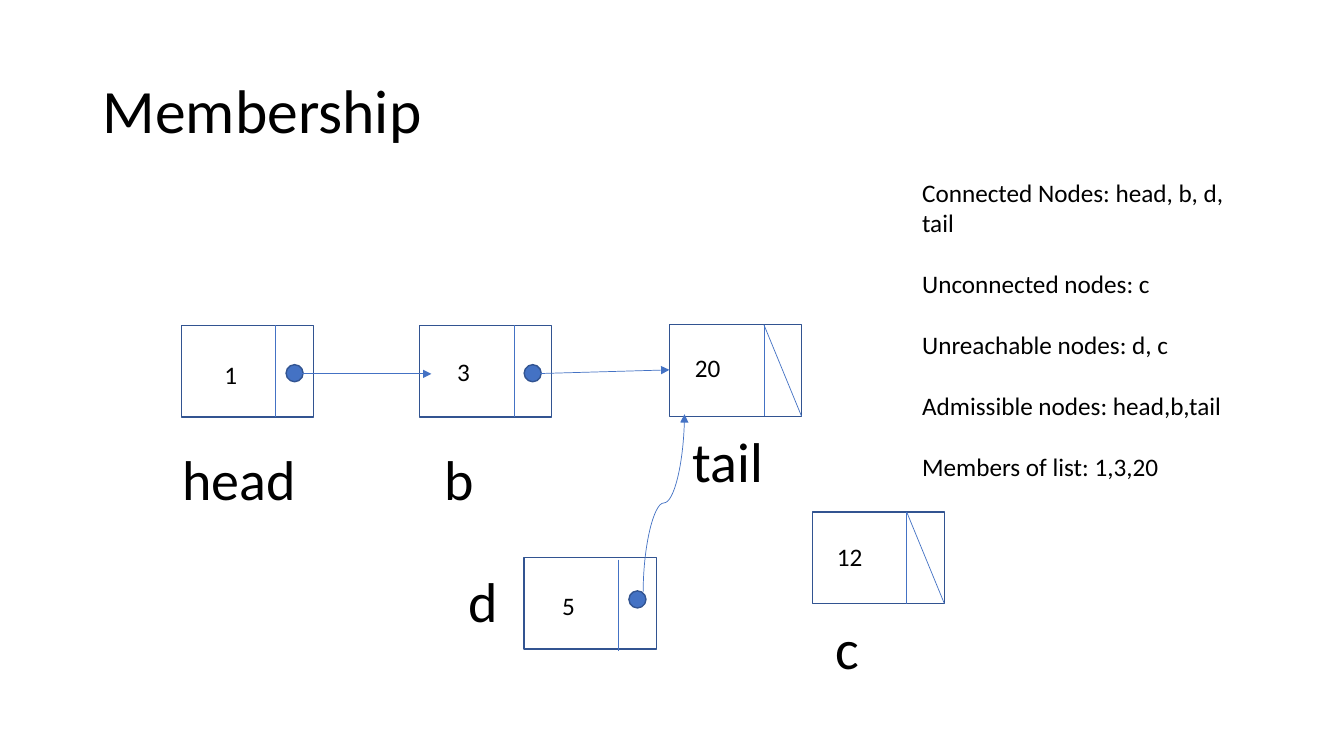
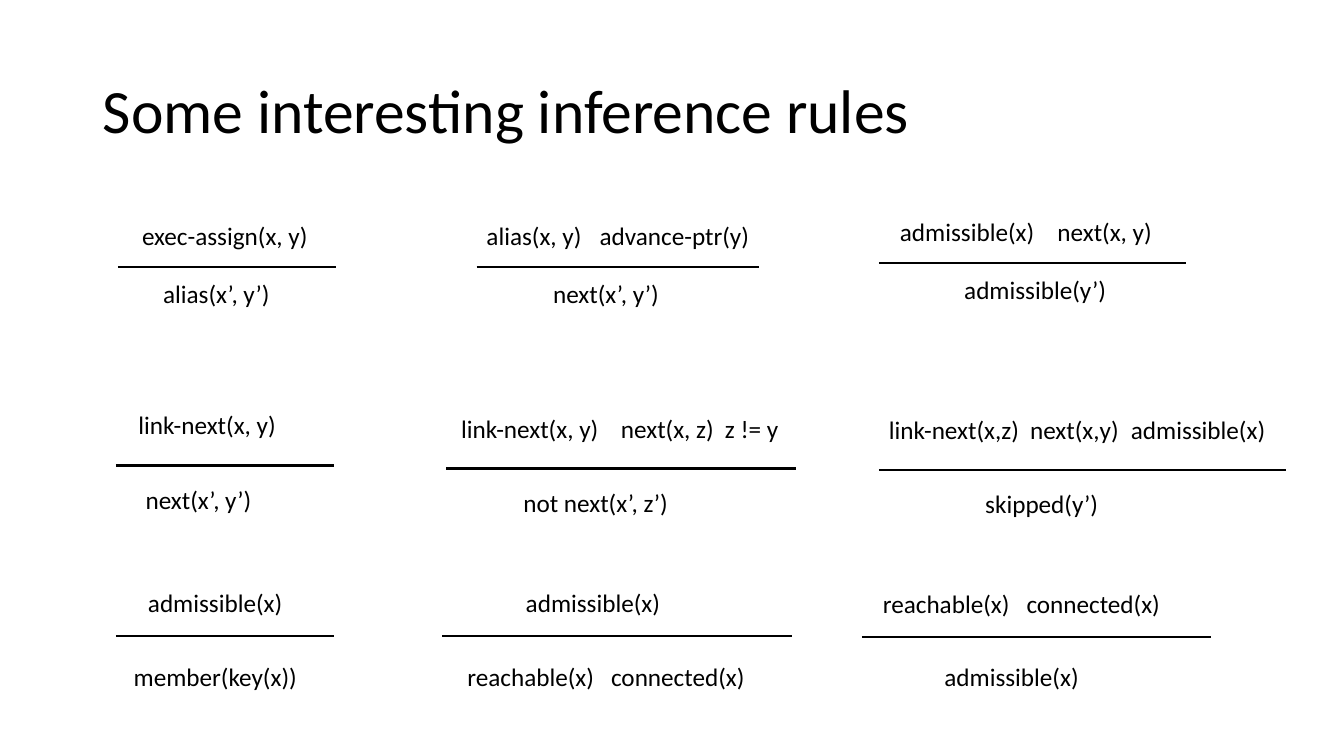
from lxml import etree
from pptx import Presentation
from pptx.dml.color import RGBColor
from pptx.enum.shapes import MSO_CONNECTOR as Link, MSO_SHAPE as Preset
from pptx.enum.text import MSO_ANCHOR as Anchor, PP_ALIGN as Align
from pptx.oxml.ns import qn
from pptx.util import Cm, Pt

FONT = "Calibri"
BLACK, BLUE, NAVY = "000000", "4472C4", "325491"
TITLE_BOX = (2.34, 1.02, 29.21, 3.68)
NODE_W, NODE_H, DIVIDER_X = 3.33, 2.31, 2.38
DOT_SIZE, DOT_X = 0.43, 2.64
LABEL_H = 1.02


def color(hex_code):
    """Turn a hex string into a colour."""
    return RGBColor.from_string(hex_code)


def add_text(slide, box, lines, size=18, align=Align.LEFT, anchor=Anchor.TOP,
             gap=0, spacing=1.0, tabs=()):
    """Place a wrapped text box and return it."""
    label = slide.shapes.add_textbox(*map(Cm, box))
    frame = label.text_frame
    frame.word_wrap = True
    frame.vertical_anchor = anchor
    frame.text = "\n".join(lines)
    for index, paragraph in enumerate(frame.paragraphs):
        paragraph.alignment = align
        paragraph.line_spacing = spacing
        paragraph.space_before = Pt(gap if index else 0)
        paragraph.font.name = FONT
        paragraph.font.size = Pt(size)
        paragraph.font.color.rgb = color(BLACK)
        if tabs:
            properties = paragraph._p.get_or_add_pPr()
            stops = etree.Element(qn("a:tabLst"))
            for stop in tabs:
                etree.SubElement(stops, qn("a:tab"), pos=str(Cm(stop)), algn="l")
            properties.insert_element_before(stops, "a:defRPr", "a:extLst")
    return label


def add_title(slide, title):
    """Place the slide title."""
    add_text(slide, TITLE_BOX, [title], size=44, anchor=Anchor.MIDDLE, spacing=0.9)


def add_line(slide, start, end, hex_code=BLUE, width=0.5, arrow=False, kind=Link.STRAIGHT):
    """Draw a line without shadow, with an arrowhead if wanted."""
    line = slide.shapes.add_connector(kind, *map(Cm, (*start, *end)))
    line.line.color.rgb = color(hex_code)
    line.line.width = Pt(width)
    if arrow:
        etree.SubElement(line.line._get_or_add_ln(), qn("a:tailEnd"), type="triangle")
    etree.SubElement(line._element.spPr, qn("a:effectLst"))
    return line


def add_rising_curve(slide, start, end):
    """Draw a curved arrow that leaves and arrives vertically."""
    mid_x, mid_y = (start[0] + end[0]) / 2, (start[1] + end[1]) / 2
    half_rise, half_run = (start[1] - end[1]) / 2, (end[0] - start[0]) / 2
    curve = add_line(slide, (mid_x + half_rise, mid_y + half_run),
                     (mid_x - half_rise, mid_y - half_run), arrow=True, kind=Link.CURVE)
    curve._element.spPr.find(qn("a:xfrm")).set("rot", str(90 * 60000))


def add_outlined(slide, preset, box, fill=None):
    """Draw a preset shape with the navy outline."""
    shape = slide.shapes.add_shape(preset, *map(Cm, box))
    shape.shadow.inherit = False
    shape.line.color.rgb = color(NAVY)
    shape.line.width = Pt(1)
    if fill:
        shape.fill.solid()
        shape.fill.fore_color.rgb = color(fill)
    else:
        shape.fill.background()


def add_node(slide, corner, key, key_at, name, name_at, name_w, dot_y=None, divider_y=0):
    """Draw a list node; without a dot its pointer field is struck through."""
    left, top = corner
    add_outlined(slide, Preset.RECTANGLE, (left, top, NODE_W, NODE_H))
    divider = left + DIVIDER_X
    add_line(slide, (divider, top + divider_y), (divider, top + divider_y + NODE_H))
    if dot_y is None:
        add_line(slide, (divider, top), (left + NODE_W, top + NODE_H))
    else:
        add_outlined(slide, Preset.OVAL, (left + DOT_X, top + dot_y, DOT_SIZE, DOT_SIZE), BLUE)
    add_text(slide, (left + key_at[0], top + key_at[1], 1.73, LABEL_H), [key],
             align=Align.CENTER)
    add_text(slide, (left + name_at[0], top + name_at[1], name_w, 1.96), [name], size=40)


def add_rule(slide, bar, premises, premise_x, tabs, conclusions, conclusion_x, rise, drop):
    """Set premises above a bar and conclusions below it."""
    left, top, width = bar
    add_line(slide, (left, top), (left + width, top), BLACK, 1.75)
    for terms, indent, shift in ((premises, premise_x, -rise), (conclusions, conclusion_x, drop)):
        add_text(slide, (left + indent, top + shift, width + 0.5, LABEL_H), ["\t".join(terms)],
                 tabs=tabs if len(terms) > 1 else ())


def build_membership(slide):
    """Fill the slide on list membership."""
    add_title(slide, "Membership")
    head, b, tail, d, c = (4.57, 8.2), (10.57, 8.2), (16.87, 8.18), (13.21, 14.05), (20.47, 12.9)
    add_node(slide, head, "1", (0.38, 0.74), "head", (-0.23, 2.87), 3.8, dot_y=0.99)
    add_node(slide, b, "3", (0.25, 0.66), "b", (0.38, 2.87), 2, dot_y=0.99)
    add_node(slide, tail, "20", (0.1, 0.58), "tail", (0.33, 2.44), 2.75)
    add_node(slide, d, "5", (0.25, 0.69), "d", (-1.65, 0.1), 2, dot_y=0.84, divider_y=0.05)
    add_node(slide, c, "12", (0.08, 0.61), "c", (0.33, 2.44), 2.75)
    for source, target in ((head, (b[0] + 0.3, b[1] + 1.22)), (b, (tail[0], tail[1] + 1.14))):
        add_line(slide, (source[0] + 2.77, source[1] + 1.22), target, arrow=True)
    add_rising_curve(slide, (d[0] + 3, d[1] + 0.86), (tail[0] + 0.38, tail[1] + 2.26))
    add_text(slide, (22.99, 4.34, 8.56, 9.5), [
        "Connected Nodes: head, b, d, tail",
        "Unconnected nodes: c",
        "Unreachable nodes: d, c",
        "Admissible nodes: head,b,tail",
        "Members of list: 1,3,20",
    ], gap=22)


def build_rules(slide):
    """Fill the slide with three rows of inference rules."""
    add_title(slide, "Some interesting inference rules")
    reachable = ["reachable(x)", "connected(x)"]
    rows = [
        (1.3, 0.16, [
            ((2.97, 6.73, 5.49), ["exec-assign(x, y)"], 0.36, (), ["alias(x’, y’)"], 0.89),
            ((12.01, 6.73, 7.11), ["alias(x, y)", "advance-ptr(y)"], 0, (2.85,),
             ["next(x’, y’)"], 1.68),
            ((22.15, 6.63, 7.75), ["admissible(x)", "next(x, y)"], 0.28, (3.97,),
             ["admissible(y’)"], 1.9),
        ]),
        (1.53, 0.35, [
            ((2.92, 11.73, 5.49), ["link-next(x, y)"], 0.32, (), ["next(x’, y’)"], 0.5),
            ((11.25, 11.81, 8.81), ["link-next(x, y)", "next(x, z)", "z != y"], 0.12,
             (4.03, 6.65), ["not next(x’, z’)"], 1.69),
            ((22.15, 11.84, 10.26), ["link-next(x,z)", "next(x,y)", "admissible(x)"], 0,
             (3.56, 6.1), ["skipped(y’)"], 2.43),
        ]),
        (1.36, 0.5, [
            ((2.92, 16.03, 5.49), ["admissible(x)"], 0.56, (), ["member(key(x))"], 0.2),
            ((11.15, 16.03, 8.81), ["admissible(x)"], 1.85, (3.62,), reachable, 0.38),
            ((21.72, 16.05, 8.81), reachable, 0.28, (3.62,), ["admissible(x)"], 1.83),
        ]),
    ]
    for rise, drop, rules in rows:
        for rule in rules:
            add_rule(slide, *rule, rise, drop)


def main():
    """Build and save the presentation."""
    deck = Presentation()
    deck.slide_width, deck.slide_height = Cm(33.87), Cm(19.05)
    for build in (build_membership, build_rules):
        build(deck.slides.add_slide(deck.slide_layouts[6]))
    deck.save("out.pptx")


main()
